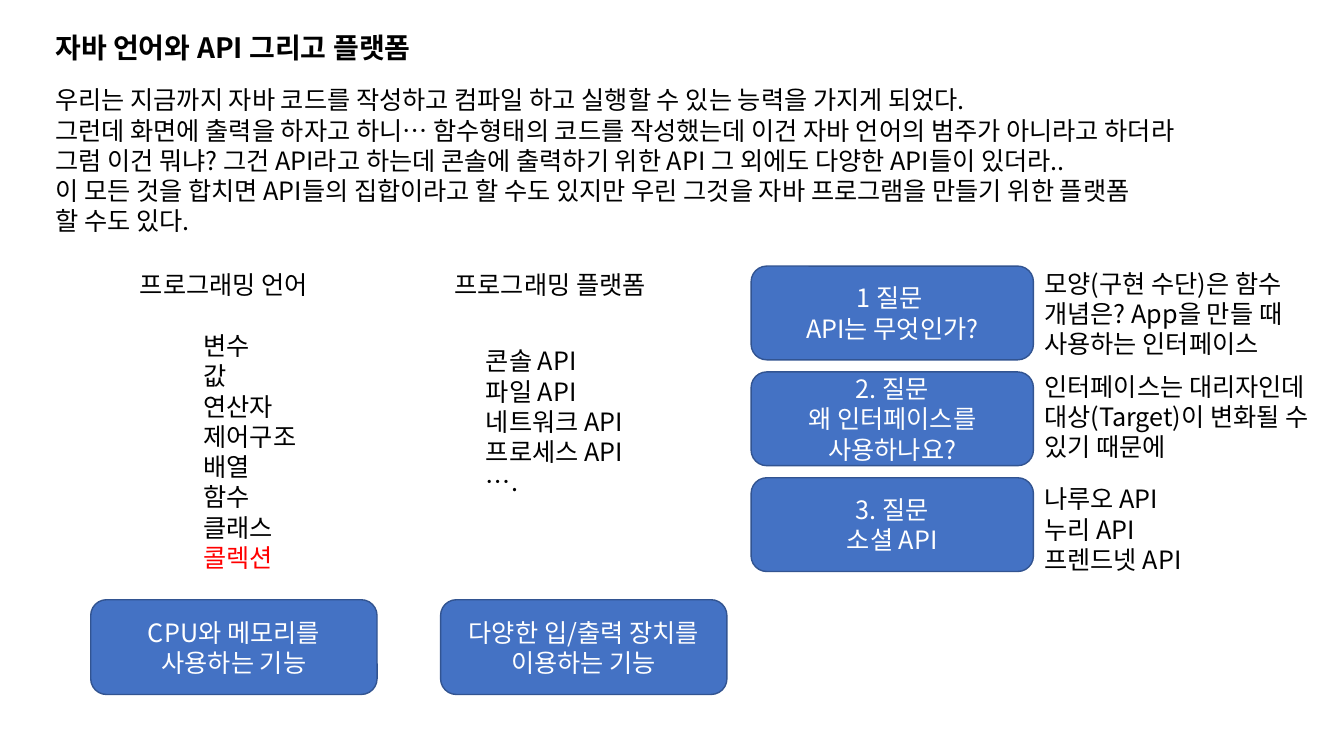
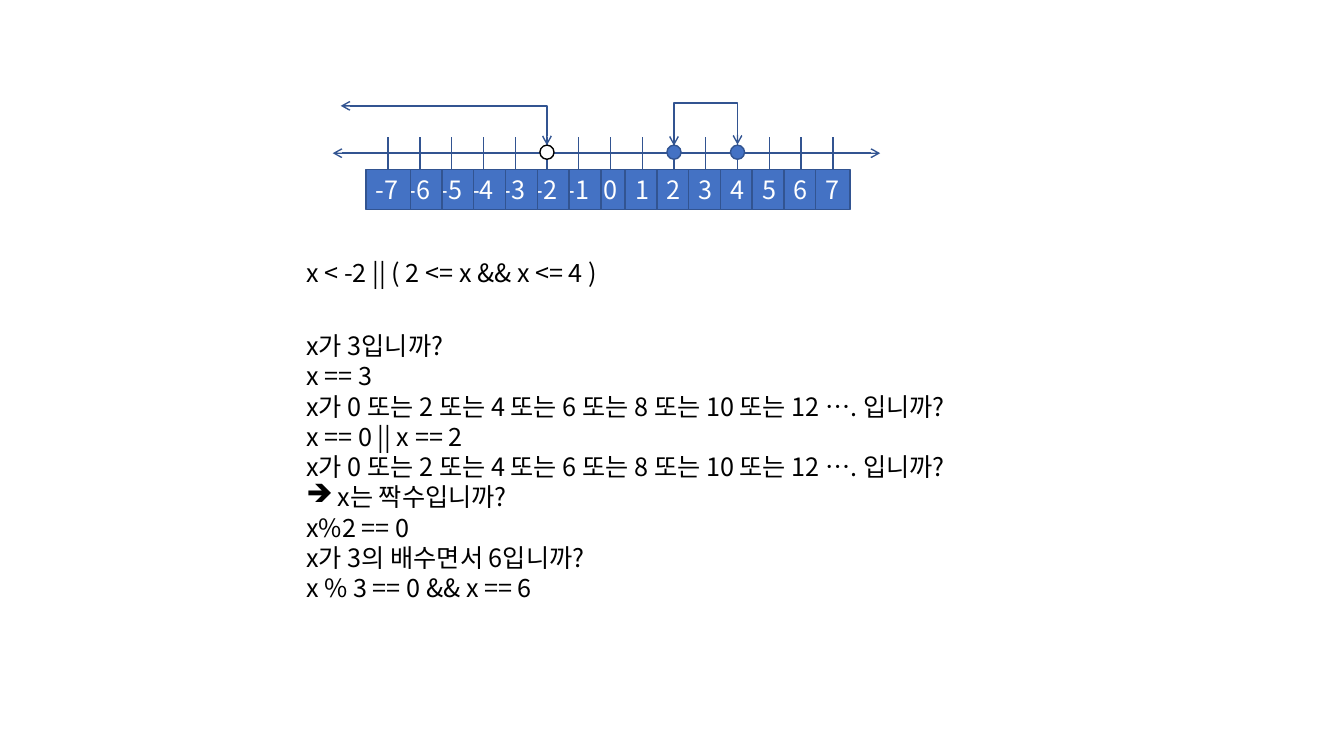
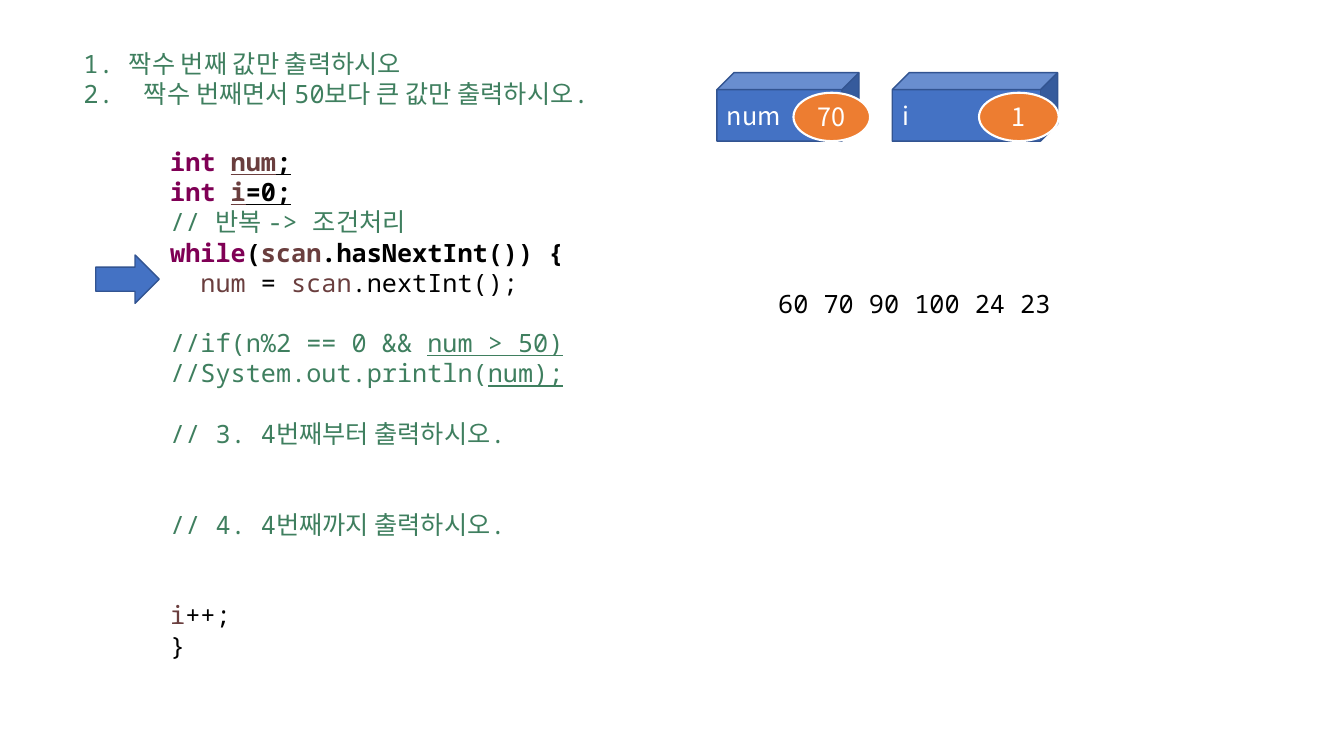
import dataclasses

import pptx
import pptx.dml.color
import pptx.enum.shapes
import pptx.enum.text
import pptx.oxml.ns
import pptx.util

Inches, Pt = pptx.util.Inches, pptx.util.Pt
SHAPE = pptx.enum.shapes.MSO_SHAPE
CONNECTOR = pptx.enum.shapes.MSO_CONNECTOR
ALIGN = pptx.enum.text.PP_ALIGN
ANCHOR = pptx.enum.text.MSO_ANCHOR
qn = pptx.oxml.ns.qn


@dataclasses.dataclass(frozen=True)
class Theme:
    sans: str = "Noto Sans CJK KR"
    mono: str = "Noto Sans Mono"
    symbol: str = "OpenSymbol"
    title_size: int = 20
    body_size: int = 18
    leading: float = 1.2
    black: str = "000000"
    white: str = "FFFFFF"
    red: str = "FF0000"
    blue: str = "4472C4"
    outline: str = "325491"
    orange: str = "ED7D31"
    keyword: str = "7F0055"
    variable: str = "6A3E3E"
    comment: str = "3F7F5F"


T = Theme()


@dataclasses.dataclass(frozen=True)
class Run:
    text: str
    color: str = T.black
    underline: bool = False


@dataclasses.dataclass(frozen=True)
class Line:
    runs: tuple
    bold: bool = False
    gap: int = 0  # empty line heights above
    bullet: str = ""


# Text
def rgb(color):
    return pptx.dml.color.RGBColor.from_string(color)


def sub(parent, tag, **attrs):
    el = parent.makeelement(qn(tag), attrs)
    parent.append(el)
    return el


def add_bullet(p, char, indent):
    pPr = p._p.get_or_add_pPr()
    pPr.set("marL", str(indent))
    pPr.set("indent", str(-indent))
    defaults = pPr.find(qn("a:defRPr"))
    defaults.addprevious(sub(pPr, "a:buFont", typeface=T.symbol))
    defaults.addprevious(sub(pPr, "a:buChar", char=char))


def write(tf, lines, color, font=T.sans, size=T.body_size, bold=False, align=ALIGN.LEFT):
    """Write one paragraph per line; a line is a string or a Line."""
    for i, line in enumerate(lines):
        if isinstance(line, str):
            line = Line((Run(line, color),), bold)
        p = tf.paragraphs[0] if i == 0 else tf.add_paragraph()
        p.alignment = align
        p.line_spacing = Pt(size * T.leading)
        if line.gap:
            p.space_before = Pt(size * T.leading * line.gap)
        p.font.name, p.font.size, p.font.bold = font, Pt(size), line.bold
        p.font.color.rgb = rgb(line.runs[0].color)
        if line.bullet:
            add_bullet(p, line.bullet, Inches(0.31))
        for run in line.runs:
            r = p.add_run()
            r.text = run.text
            if len(line.runs) > 1:
                r.font.color.rgb = rgb(run.color)
                r.font.underline = run.underline


def add_text(s, x, y, w, h, lines, color=T.black, **style):
    tf = s.shapes.add_textbox(Inches(x), Inches(y), Inches(w), Inches(h)).text_frame
    tf.word_wrap = True
    write(tf, lines, color, **style)


# Shapes
def add_shape(s, kind, x, y, w, h, lines=(), fill=T.blue, line=T.outline,
              weight=1, align=ALIGN.CENTER, wrap=True):
    sp = s.shapes.add_shape(kind, Inches(x), Inches(y), Inches(w), Inches(h))
    sp.shadow.inherit = False
    sp.fill.solid()
    sp.fill.fore_color.rgb = rgb(fill)
    sp.line.color.rgb = rgb(line)
    sp.line.width = Pt(weight)
    tf = sp.text_frame
    tf.word_wrap = wrap
    tf.vertical_anchor = ANCHOR.MIDDLE
    write(tf, lines, T.white, align=align)


def add_line(s, x1, y1, x2, y2, kind=CONNECTOR.STRAIGHT, arrows=False):
    cx = s.shapes.add_connector(kind, Inches(x1), Inches(y1), Inches(x2), Inches(y2))
    cx.line.color.rgb = rgb(T.outline)
    cx.line.width = Pt(1)
    if arrows:
        ln = cx._element.spPr.find(qn("a:ln"))
        sub(ln, "a:headEnd", type="arrow")
        sub(ln, "a:tailEnd", type="arrow")
    sub(cx._element.spPr, "a:effectLst")
    return cx


def add_corner_arrow(s, x1, y1, x2, y2):
    cx = add_line(s, x1, y1, x2, y2, CONNECTOR.ELBOW, arrows=True)
    cx._element.spPr.find(qn("a:prstGeom")).set("prst", "bentConnector2")


def add_bracket_arrow(s, x1, x2, y, rise):
    """Join two points at height y by a bracket that stands above them."""
    depth, span = 0.01, x2 - x1
    mid = (x1 + x2) / 2
    cx = add_line(s, mid - depth / 2, y - span / 2, mid + depth / 2, y + span / 2,
                  CONNECTOR.ELBOW, arrows=True)
    spPr = cx._element.spPr
    xfrm = spPr.find(qn("a:xfrm"))
    for name, value in (("rot", "5400000"), ("flipH", "1"), ("flipV", "1")):
        xfrm.set(name, value)
    geom = spPr.find(qn("a:prstGeom"))
    guides = geom.find(qn("a:avLst"))
    if guides is None:
        guides = sub(geom, "a:avLst")
    sub(guides, "a:gd", name="adj1", fmla=f"val {round(rise / depth * 100000)}")


# Slides
def language_slide(s):
    add_text(s, 0.45, 0.25, 4.1, 0.44, ["자바 언어와 API 그리고 플랫폼"],
             size=T.title_size, bold=True)
    add_text(s, 0.45, 0.79, 12.66, 1.62, [
        "우리는 지금까지 자바 코드를 작성하고 컴파일 하고 실행할 수 있는 능력을 가지게 되었다.",
        "그런데 화면에 출력을 하자고 하니… 함수형태의 코드를 작성했는데 이건 자바 언어의 범주가 아니라고 하더라",
        "그럼 이건 뭐냐? 그건 API라고 하는데 콘솔에 출력하기 위한 API 그 외에도 다양한 API들이 있더라..",
        "이 모든 것을 합치면 API들의 집합이라고 할 수도 있지만 우린 그것을 자바 프로그램을 만들기 위한 플랫폼",
        "할 수도 있다.",
    ])

    # Language and platform columns
    add_text(s, 1.29, 2.62, 2.06, 0.4, ["프로그래밍 언어"])
    add_text(s, 1.92, 3.23, 1.21, 2.52, [
        "변수", "값", "연산자", "제어구조", "배열", "함수", "클래스",
        Line((Run("콜렉션", T.red),))])
    add_text(s, 4.41, 2.62, 2.31, 0.4, ["프로그래밍 플랫폼"])
    add_text(s, 4.72, 3.38, 1.68, 1.62,
             ["콘솔 API", "파일 API", "네트워크 API", "프로세스 API", "…."])
    for x, lines in ((0.9, ["CPU와 메모리를 사용하는 기능"]),
                     (4.37, ["다양한 입/출력 장치를", "이용하는 기능"])):
        add_shape(s, SHAPE.ROUNDED_RECTANGLE, x, 5.95, 2.84, 0.94, lines)

    # Questions with their answers
    questions = (
        (["1 질문 ", "API는 무엇인가?"], 2.61, 2.91,
         ["모양(구현 수단)은 함수", "개념은? App을 만들 때", "사용하는 인터페이스"]),
        (["2. 질문", "왜 인터페이스를 사용하나요?"], 3.63, 3.07,
         ["인터페이스는 대리자인데", "대상(Target)이 변화될 수", "있기 때문에"]),
        (["3. 질문", "소셜 API"], 4.75, 1.68,
         ["나루오 API", "누리 API", "프렌드넷 API"]),
    )
    for i, (question, y, w, answer) in enumerate(questions):
        add_shape(s, SHAPE.ROUNDED_RECTANGLE, 7.45, 2.64 + 1.05 * i, 2.8, 0.93, question)
        add_text(s, 10.26, y, w, 1.01, answer)


def number_line_slide(s):
    axis_y, tick = 1.52, 0.16
    first_x, last_x, limit = 3.85, 8.26, 7
    values = sorted(range(-limit, limit + 1), key=abs)

    def axis_x(value):
        return first_x + (value + limit) * (last_x - first_x) / (2 * limit)

    # Axis, ticks and number cells
    add_line(s, 3.3, axis_y, 8.73, axis_y, arrows=True)
    for v in values:
        add_line(s, axis_x(v), axis_y - tick, axis_x(v), axis_y + tick)
    for v in values:
        w = 0.44 if v < 0 else 0.34
        add_shape(s, SHAPE.RECTANGLE, axis_x(v) - w / 2, axis_y + tick, w, 0.4,
                  [str(v)], align=ALIGN.LEFT, wrap=False)

    # Ranges: below -2, and from 2 to 4
    dot = 0.14
    dot_top = axis_y - 0.08
    for v, fill, line in ((2, T.blue, T.outline), (-2, T.white, T.black),
                          (4, T.blue, T.outline)):
        add_shape(s, SHAPE.OVAL, axis_x(v) - dot / 2, dot_top, dot, dot,
                  fill=fill, line=line)
    add_corner_arrow(s, 3.38, 1.05, axis_x(-2), dot_top)
    add_bracket_arrow(s, axis_x(2), axis_x(4), dot_top, 0.43)

    # Conditions
    even_list = "x가 0 또는 2 또는 4 또는 6 또는 8 또는 10 또는 12 …. 입니까?"
    add_text(s, 2.94, 2.5, 3.72, 0.4, ["x < -2 || ( 2 <= x && x <= 4 )"])
    add_text(s, 2.94, 3.23, 7.1, 2.83, [
        "x가 3입니까?",
        "x == 3",
        even_list,
        "x == 0 || x == 2",
        even_list,
        Line((Run("x는 짝수입니까?"),), bullet="➔"),
        "x%2 == 0",
        "x가 3의 배수면서 6입니까?",
        "x % 3 == 0 && x == 6",
    ])


def code_slide(s):
    def key(text):
        return Run(text, T.keyword)

    def var(text, underline=False):
        return Run(text, T.variable, underline)

    def note(text, underline=False):
        return Run(text, T.comment, underline)

    # Tasks and code
    add_text(s, 0.73, 0.43, 11.83, 0.71,
             ["1. 짝수 번째 값만 출력하시오",
              "2.  짝수 번째면서 50보다 큰 값만 출력하시오."],
             T.comment, font=T.mono)
    add_text(s, 1.59, 1.4, 9.67, 5.25, [
        Line((key("int "), var("num", True), Run(";", underline=True)), bold=True),
        Line((key("int "), var("i", True), Run("=0;", underline=True)), bold=True),
        Line((note("// 반복 -> 조건처리"),)),
        Line((key("while"), Run("("), var("scan"), Run(".hasNextInt()) {")), bold=True),
        Line((var("  num"), Run(" = "), var("scan"), Run(".nextInt();"))),
        Line((note("//if(n%2 == 0 && "), note("num > 50)", True)), gap=1),
        Line((note("//System.out.println("), note("num);", True))),
        Line((note("// 3. 4번째부터 출력하시오."),), gap=1),
        Line((note("// 4. 4번째까지 출력하시오."),), gap=2),
        Line((var("i"), Run("++;")), gap=2),
        "}",
    ], font=T.mono)
    add_shape(s, SHAPE.RIGHT_ARROW, 0.95, 2.53, 0.63, 0.48)

    # Variables in memory, and the input
    for name, x, w, value, value_x, value_w in (
            ("num", 7.11, 1.41, "70", 7.87, 0.76),
            ("i", 8.85, 1.64, "1", 9.71, 0.79)):
        add_shape(s, SHAPE.CUBE, x, 0.72, w, 0.68, [name], align=ALIGN.LEFT)
        add_shape(s, SHAPE.OVAL, value_x, 0.92, value_w, 0.48, [value],
                  fill=T.orange, line=T.white, weight=1.5)
    add_text(s, 7.62, 2.81, 3.11, 0.4, ["60 70 90 100 24 23"], font=T.mono)


def main():
    prs = pptx.Presentation()
    prs.slide_width, prs.slide_height = Inches(13.33), Inches(7.5)
    for build in (language_slide, number_line_slide, code_slide):
        build(prs.slides.add_slide(prs.slide_layouts[6]))
    prs.save("out.pptx")


if __name__ == "__main__":
    main()
